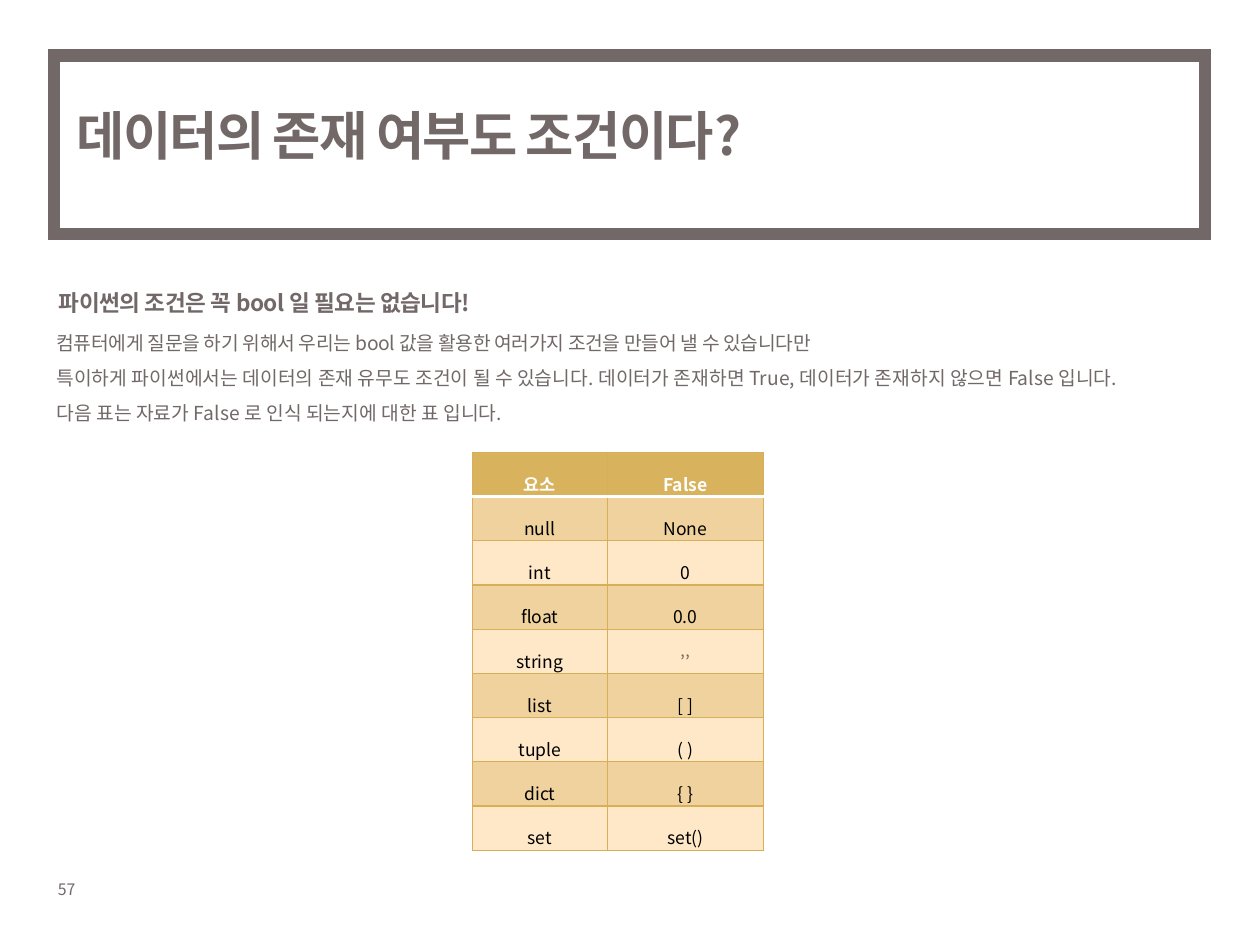
"""Build the slide on truth values of empty data in Python."""
from lxml import etree
from pptx import Presentation
from pptx.dml.color import RGBColor
from pptx.enum import shapes, text
from pptx.oxml import ns
from pptx.util import Pt

THEME = {
    "face": "Noto Sans CJK KR",
    "ink": "726868", "head": "D8B25C", "edge": "D6AF57",
    "dark": "EFD29D", "pale": "FFE8C8", "white": "FFFFFF",
    "black": "000000", "quote": "775F55",
    "title": 30, "lead": 12.9, "body": 11, "cell": 10, "page": 9,
}
PAGE = "57"
TITLE = "데이터의 존재 여부도 조건이다?"
LEAD = "파이썬의 조건은 꼭 bool 일 필요는 없습니다!"
BODY = [
    ("컴퓨터에게 질문을 하기 위해서 우리는 bool 값을 활용한 여러가지 조건을 만들어 낼 수 있습니다만", -0.2),
    ("특이하게 파이썬에서는 데이터의 존재 유무도 조건이 될 수 있습니다. "
     "데이터가 존재하면 True, 데이터가 존재하지 않으면 False 입니다.", 0),
    ("다음 표는 자료가 False 로 인식 되는지에 대한 표 입니다.", 0),
]
ROWS = [
    ("요소", "False"), ("null", "None"), ("int", "0"), ("float", "0.0"),
    ("string", "’’"), ("list", "[ ]"), ("tuple", "( )"), ("dict", "{ }"),
    ("set", "set()"),
]
COLS = (77, 89.3)
ROW = 23.76


def rgb(name):
    return RGBColor.from_string(THEME[name])


def node(up, tag, **attrs):
    return etree.SubElement(up, ns.qn(tag), attrs)


def write(para, words, size, color="ink", bold=False, track=0, hang=0, **form):
    props = para._p.get_or_add_pPr()
    if hang:
        props.set("marL", str(Pt(hang)))
        props.set("indent", str(-Pt(hang)))
    for key, value in form.items():
        setattr(para, key, value)
    run = para.add_run()
    run.text = words
    look = {"size": Pt(THEME[size]), "bold": bold, "name": THEME["face"]}
    for key, value in look.items():
        setattr(run.font, key, value)
    run.font.color.rgb = rgb(color)
    mark = run._r.get_or_add_rPr()
    mark.set("spc", str(round(track * 100)))
    node(mark, "a:ea", typeface=THEME["face"])


def add_text(slide, place, lines, size, wrap=True, anchor="TOP", **form):
    frame = slide.shapes.add_textbox(*map(Pt, place)).text_frame
    frame.word_wrap = wrap
    frame.vertical_anchor = getattr(text.MSO_ANCHOR, anchor)
    for i, (words, track) in enumerate(lines):
        para = frame.add_paragraph() if i else frame.paragraphs[0]
        write(para, words, size, track=track, **form)


def add_frame(slide):
    box = slide.shapes.add_shape(
        shapes.MSO_SHAPE.RECTANGLE, *map(Pt, (31, 31.7, 657.4, 102.2)))
    box.shadow.inherit = False
    box.fill.background()
    box.line.color.rgb = rgb("ink")
    box.line.width = Pt(7)
    node(box.line._get_or_add_ln(), "a:miter", lim="800000")


def add_edge(cell, side, color, width):
    line = node(cell._tc.get_or_add_tcPr(), f"a:ln{side}", w=str(Pt(width)))
    node(node(line, "a:solidFill"), "a:srgbClr", val=THEME[color])


def add_grid(slide):
    grid = slide.shapes.add_table(
        len(ROWS), len(COLS),
        *map(Pt, (270, 258.5, sum(COLS), ROW * len(ROWS)))).table
    for col, width in zip(grid.columns, COLS):
        col.width = Pt(width)
    for r, row in enumerate(ROWS):
        grid.rows[r].height = Pt(ROW)
        for c, words in enumerate(row):
            cell = grid.cell(r, c)
            for side in "LRTB":
                rule = (r, side) in ((0, "B"), (1, "T"))
                add_edge(cell, side, *(("white", 2) if rule else ("edge", 0.75)))
            cell.fill.solid()
            fill = "head" if r == 0 else "dark" if r % 2 else "pale"
            cell.fill.fore_color.rgb = rgb(fill)
            color = "white" if r == 0 else "quote" if words == "’’" else "black"
            write(cell.text_frame.paragraphs[0], words, "cell", color, r == 0,
                  alignment=text.PP_ALIGN.CENTER, line_spacing=1.5)


def main():
    deck = Presentation()
    deck.slide_width, deck.slide_height = Pt(720), Pt(540)
    slide = deck.slides.add_slide(deck.slide_layouts[6])
    add_text(slide, (26, 499, 37.4, 18), [(PAGE, 0)], "page", wrap=False)
    add_text(slide, (36.7, 31.7, 516.2, 90.7), [(TITLE, -1)], "title",
             anchor="MIDDLE", bold=True)
    add_frame(slide)
    add_text(slide, (25.2, 179.3, 655.2, 51), BODY, "body",
             hang=18, line_spacing=1.5)
    add_text(slide, (26.6, 157, 662.4, 28), [(LEAD, -0.2)], "lead",
             bold=True, hang=18, line_spacing=1.3)
    add_grid(slide)
    deck.save("out.pptx")


if __name__ == "__main__":
    main()
